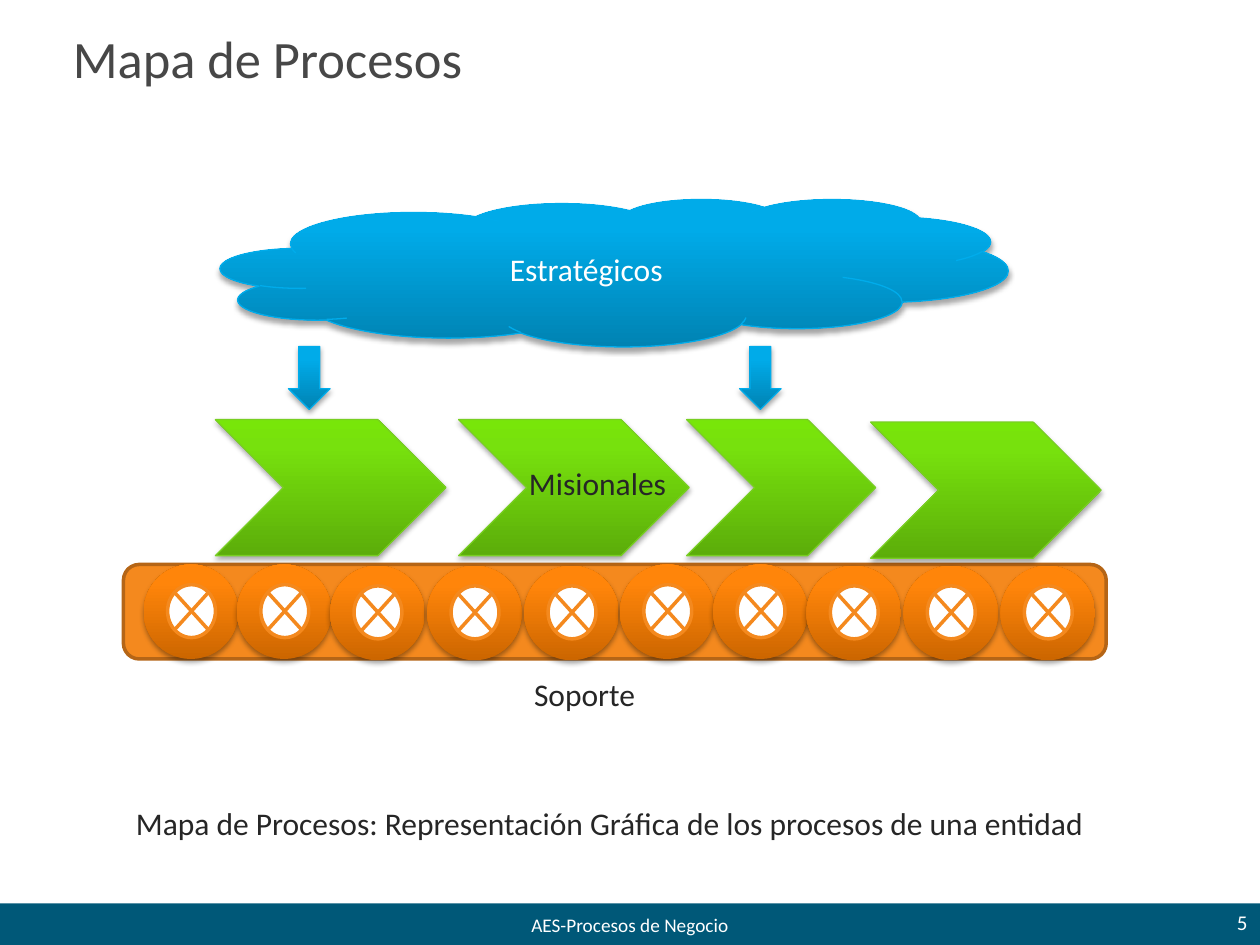
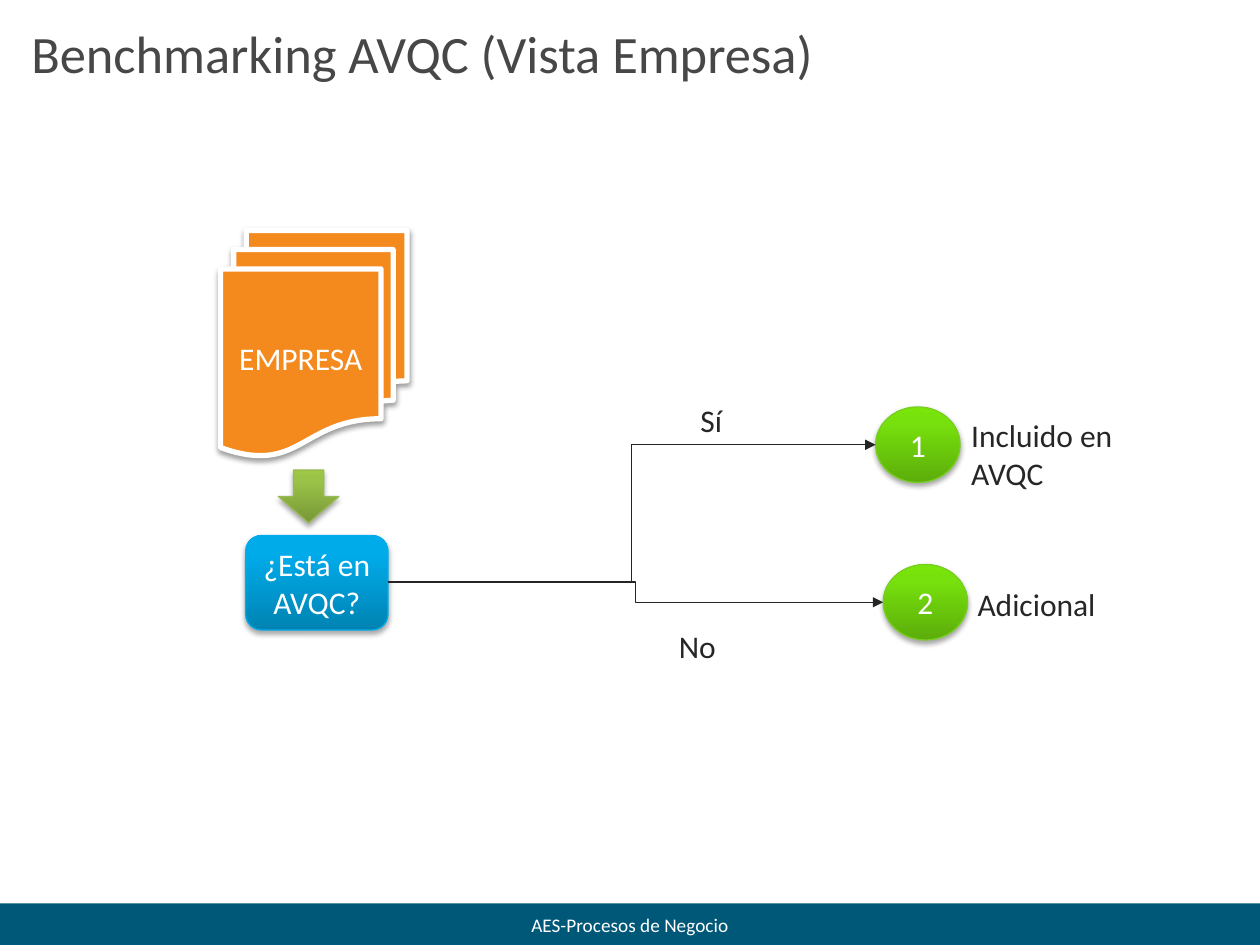
from copy import deepcopy
from dataclasses import dataclass
from itertools import product
from typing import Optional, Union

from lxml.etree import SubElement
from pptx import Presentation
from pptx.dml.color import RGBColor
from pptx.enum.shapes import MSO_CONNECTOR as CONN, MSO_SHAPE as SHP
from pptx.enum.text import MSO_ANCHOR as ANC, PP_ALIGN as AL
from pptx.oxml.ns import qn
from pptx.util import Inches, Pt

FONT = "Calibri"
WHITE, INK, LINE_INK, TITLE_INK = "FFFFFF", "262626", "252525", "474747"
BAND, ORANGE, BROWN = "005878", "F4891E", "B56516"
STOPS = (0, 0.8, 1)
FOOTER = "AES-Procesos de Negocio"


@dataclass(frozen=True)
class Look:
    """Fill (one colour or three gradient stops), outline and shadow."""
    fill: Union[str, tuple[str, str, str]]
    line: Optional[str] = None
    width: float = 0.75
    shadow: int = 0


@dataclass(frozen=True)
class Block:
    """A preset shape with its place, look and centred text."""
    kind: SHP
    x: float
    y: float
    w: float
    h: float
    look: Look
    text: str = ""


@dataclass(frozen=True)
class Label:
    """A text box with its place and text style."""
    text: str
    x: float
    y: float
    w: float
    h: float = 0.4
    size: int = 18
    ink: str = INK
    align: AL = AL.LEFT
    anchor: ANC = ANC.TOP
    wrap: bool = False


BLUE = Look(("0083B3", "00ABE9", "00ABEA"), "00ACEB", shadow=35)
GREEN = Look(("5CAD0A", "77E10D", "78E609"), "78CF22", shadow=35)
OLIVE = Look(("779737", "9BC348", "9DC746"), "98B955", shadow=35)
ROLLER = Look(("CC6600", "FF850A", "FF850C"), shadow=35)
JUNCTION = Look(WHITE, ORANGE, 2)
BELT = Look(ORANGE, BROWN, 2)
PAPERS = Look(ORANGE, WHITE, 3, shadow=38)


def rgb(color: str) -> RGBColor:
    """Turn a hex string into a colour."""
    return RGBColor.from_string(color)


def write(s, text: str, size: int, ink: str, align: AL, anchor: ANC, wrap: bool) -> None:
    """Put styled text into a shape or text box."""
    tf = s.text_frame
    tf.text = text
    tf.word_wrap = wrap
    tf.vertical_anchor = anchor
    for p in tf.paragraphs:
        p.alignment = align
        for r in p.runs:
            r.font.name = FONT
            r.font.size = Pt(size)
            r.font.color.rgb = rgb(ink)


def paint_gradient(s, colors: tuple[str, str, str]) -> None:
    """Fill a shape with a three-stop gradient that rises from its base."""
    s.fill.gradient()
    s.fill.gradient_angle = 90
    first = s._element.spPr.find(".//" + qn("a:gs"))
    first.addnext(deepcopy(first))
    for stop, position, color in zip(s.fill.gradient_stops, STOPS, colors):
        stop.position = position
        stop.color.rgb = rgb(color)


def cast_shadow(s, alpha: int) -> None:
    """Add a soft shadow below a shape."""
    effects = s._element.spPr.find(qn("a:effectLst"))
    shadow = SubElement(effects, qn("a:outerShdw"), blurRad=str(Pt(3.1)),
                        dist=str(Pt(1.8)), dir="5400000", rotWithShape="0")
    color = SubElement(shadow, qn("a:srgbClr"), val="000000")
    SubElement(color, qn("a:alpha"), val=str(alpha * 1000))


def draw_block(sl, b: Block) -> None:
    """Draw a preset shape."""
    s = sl.shapes.add_shape(b.kind, Inches(b.x), Inches(b.y), Inches(b.w), Inches(b.h))
    s.shadow.inherit = False
    if isinstance(b.look.fill, str):
        s.fill.solid()
        s.fill.fore_color.rgb = rgb(b.look.fill)
    else:
        paint_gradient(s, b.look.fill)
    if b.look.line:
        s.line.color.rgb = rgb(b.look.line)
        s.line.width = Pt(b.look.width)
    else:
        s.line.fill.background()
    if b.look.shadow:
        cast_shadow(s, b.look.shadow)
    if b.text:
        write(s, b.text, 18, WHITE, AL.CENTER, ANC.MIDDLE, True)


def draw_label(sl, t: Label) -> None:
    """Draw a text box."""
    s = sl.shapes.add_textbox(Inches(t.x), Inches(t.y), Inches(t.w), Inches(t.h))
    write(s, t.text, t.size, t.ink, t.align, t.anchor, t.wrap)


def draw_arrow(sl, x1: float, y1: float, x2: float, y2: float) -> None:
    """Draw an elbow connector with an arrowhead at its end."""
    s = sl.shapes.add_connector(CONN.ELBOW, Inches(x1), Inches(y1), Inches(x2), Inches(y2))
    s.line.color.rgb = rgb(LINE_INK)
    s.line.width = Pt(0.75)
    SubElement(s.line._get_or_add_ln(), qn("a:tailEnd"), type="triangle")
    SubElement(s._element.spPr, qn("a:effectLst"))


def add_slide(prs, title: str, x: float, y: float):
    """Add a slide with the shared footer band and a title."""
    sl = prs.slides.add_slide(prs.slide_layouts[6])
    draw_block(sl, Block(SHP.RECTANGLE, 0, 7.17, 10, 0.34, Look(BAND)))
    draw_label(sl, Label(FOOTER, 0.5, 7.2, 9, 0.29, 11, WHITE, AL.CENTER, wrap=True))
    draw_label(sl, Label(title, x, y, 9.19, 0.75, 30, TITLE_INK, anchor=ANC.MIDDLE, wrap=True))
    return sl


def build_process_map(prs) -> None:
    """Build the process map slide."""
    sl = add_slide(prs, "Mapa de Procesos", 0.48, 0.08)
    draw_label(sl, Label("5", 7.67, 7.12, 2.33, 0.4, 12, WHITE, AL.RIGHT, ANC.MIDDLE, True))
    draw_block(sl, Block(SHP.ROUNDED_RECTANGLE, 0.98, 4.48, 7.8, 0.75, BELT))
    draw_block(sl, Block(SHP.CLOUD, 1.75, 1.58, 6.25, 1.17, BLUE, "Estratégicos"))
    for x, y, w in ((1.71, 3.33, 1.83), (3.64, 3.33, 1.83), (5.45, 3.33, 1.5), (6.91, 3.35, 1.83)):
        draw_block(sl, Block(SHP.CHEVRON, x, y, w, 1.08, GREEN))
    for x in (2.29, 5.87):
        draw_block(sl, Block(SHP.DOWN_ARROW, x, 2.75, 0.33, 0.5, BLUE))
    rollers = ((0, 4.48), (0.74, 4.48), (1.48, 4.49), (2.25, 4.49), (3.02, 4.49))
    for start, (dx, y) in product((1.14, 4.92), rollers):
        x = start + dx
        draw_block(sl, Block(SHP.OVAL, x, y, 0.75, 0.75, ROLLER))
        draw_block(sl, Block(SHP.FLOWCHART_SUMMING_JUNCTION, x + 0.19, y + 0.16, 0.38, 0.42, JUNCTION))
    for label in (
        Label("Misionales", 4.1, 3.63, 1.3),
        Label("Soporte", 4.14, 5.31, 1.01),
        Label("Mapa de Procesos: Representación Gráfica de los procesos de una entidad", 0.98, 6.33, 7.82),
    ):
        draw_label(sl, label)


def build_benchmarking(prs) -> None:
    """Build the benchmarking decision slide."""
    sl = add_slide(prs, "Benchmarking AVQC (Vista Empresa)", 0.15, 0.04)
    for block in (
        Block(SHP.FLOWCHART_MULTIDOCUMENT, 1.75, 1.83, 1.48, 1.79, PAPERS, "EMPRESA"),
        Block(SHP.ROUNDED_RECTANGLE, 1.95, 4.25, 1.13, 0.75, BLUE, "¿Está en AVQC?"),
        Block(SHP.OVAL, 6.95, 3.23, 0.67, 0.6, GREEN, "1"),
        Block(SHP.OVAL, 7.01, 4.48, 0.67, 0.6, GREEN, "2"),
        Block(SHP.DOWN_ARROW, 2.21, 3.73, 0.48, 0.42, OLIVE),
    ):
        draw_block(sl, block)
    for x, y in ((6.95, 3.53), (7.01, 4.78)):
        draw_arrow(sl, 3.08, 4.62, x, y)
    for label in (
        Label("Sí", 5.46, 3.13, 0.38),
        Label("No", 5.29, 4.93, 0.5),
        Label("Incluido en\nAVQC", 7.61, 3.25, 1.4, 0.71),
        Label("Adicional", 7.66, 4.59, 1.15),
    ):
        draw_label(sl, label)


def main() -> None:
    """Build and save the presentation."""
    prs = Presentation()
    prs.slide_width, prs.slide_height = Inches(10), Inches(7.5)
    build_process_map(prs)
    build_benchmarking(prs)
    prs.save("out.pptx")


if __name__ == "__main__":
    main()
